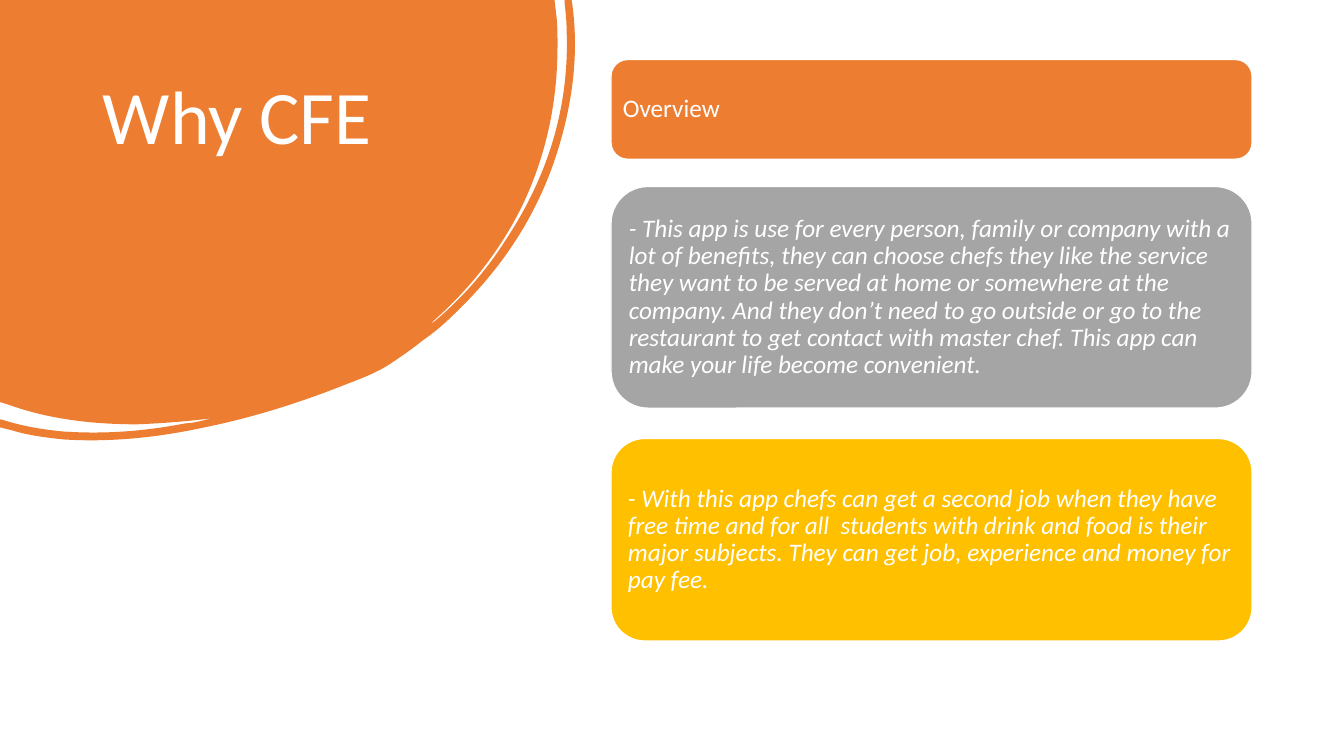
"""Build the "Why CFE" slide: a curved orange corner with a title and three text cards."""
from lxml import etree
from pptx import Presentation
from pptx.dml.color import RGBColor
from pptx.enum.shapes import MSO_SHAPE
from pptx.enum.text import MSO_ANCHOR, PP_ALIGN
from pptx.oxml.ns import qn
from pptx.util import Inches, Pt

ROUND = MSO_SHAPE.ROUNDED_RECTANGLE
TOP, MIDDLE = MSO_ANCHOR.TOP, MSO_ANCHOR.MIDDLE
LEFT = PP_ALIGN.LEFT
FONT, WHITE, ORANGE = "Calibri", "FFFFFF", "ED7D31"

TITLE = "Why CFE"
CARDS = [
    (0.59, 0.99, ORANGE, False, "Overview"),
    (1.85, 2.2, "A5A5A5", True,
     "- This app is use for every person, family or company with a lot of benefits, "
     "they can choose chefs they like the service they want to be served at home or "
     "somewhere at the company. And they don’t need to go outside or go to the "
     "restaurant to get contact with master chef. This app can make your life become "
     "convenient."),
    (4.35, 2.01, "FFC000", True,
     "- With this app chefs can get a second job when they have free time and for all  "
     "students with drink and food is their major subjects. They can get job, "
     "experience and money for pay fee."),
]
BLOB = (5.71, 4.37)
CURVE = [
    (0, 0), (5.5, 0), (5.52, 0.17),
    (5.53, 0.26, 5.53, 0.36, 5.53, 0.45),
    (5.53, 1.01, 5.42, 1.54, 5.18, 2.04),
    (4.96, 2.49, 4.65, 2.88, 4.27, 3.21),
    (4.29, 3.21, 4.3, 3.19, 4.32, 3.18),
    (4.59, 2.95, 4.82, 2.69, 5.01, 2.39),
    (5.43, 1.76, 5.65, 1.07, 5.62, 0.3),
    (5.62, 0.21, 5.61, 0.12, 5.6, 0.03),
    (5.6, 0), (5.67, 0), (5.68, 0.07),
    (5.74, 0.54, 5.68, 1.02, 5.53, 1.5),
    (5.33, 2.14, 4.97, 2.68, 4.48, 3.14),
    (4.39, 3.23, 4.29, 3.31, 4.19, 3.38),
    (4.09, 3.46, 3.99, 3.53, 3.87, 3.61),
    (3.75, 3.69, 3.6, 3.75, 3.44, 3.81),
    (2.99, 3.99, 2.52, 4.14, 2.03, 4.24),
    (1.57, 4.34, 1.1, 4.39, 0.63, 4.36),
    (0.45, 4.34, 0.28, 4.32, 0.12, 4.27),
    (0, 4.24), (0, 4.16), (0.04, 4.17),
    (0.23, 4.23, 0.42, 4.26, 0.61, 4.28),
    (1.03, 4.31, 1.43, 4.28, 1.84, 4.2),
    (1.89, 4.2, 1.93, 4.19, 1.98, 4.18),
    (2.02, 4.17, 2.06, 4.16, 2.1, 4.15),
    (1.86, 4.18, 1.61, 4.2, 1.36, 4.21),
    (0.92, 4.21, 0.48, 4.16, 0.07, 4.01),
    (0, 3.99),
]


def color(code):
    return RGBColor.from_string(code)


def fill(shape, code):
    shape.shadow.inherit = False
    shape.fill.solid()
    shape.fill.fore_color.rgb = color(code)


def write(frame, text, size, anchor, italic=False):
    frame.word_wrap = True
    frame.vertical_anchor = anchor
    para = frame.paragraphs[0]
    para.alignment = LEFT
    para.line_spacing = 0.9
    run = para.add_run()
    run.text = text
    font = run.font
    font.name, font.size, font.italic = FONT, Pt(size), italic
    font.color.rgb = color(WHITE)


def draw(shapes):
    """Draw the outline by its knots, then bend the curved parts."""
    knots = [(Inches(part[-2]), Inches(part[-1])) for part in CURVE]
    pen = shapes.build_freeform(*knots[0])
    pen.add_line_segments(knots[1:], close=True)
    blob = pen.convert_to_shape()
    wide, high = (Inches(size) for size in BLOB)
    blob.width, blob.height = wide, high
    outline = next(blob._element.iter(qn("a:path")))
    outline.set("w", str(wide))
    outline.set("h", str(high))
    for line, part in zip(outline.findall(qn("a:lnTo")), CURVE[1:]):
        if len(part) == 6:
            bend = etree.Element(qn("a:cubicBezTo"))
            for x, y in zip(part[::2], part[1::2]):
                etree.SubElement(bend, qn("a:pt"), x=str(Inches(x)), y=str(Inches(y)))
            outline.replace(line, bend)
    fill(blob, ORANGE)
    blob.line.fill.background()
    return blob


def main():
    deck = Presentation()
    deck.slide_width, deck.slide_height = Inches(13.33), Inches(7.5)
    slide = deck.slides.add_slide(deck.slide_layouts[5])
    shapes = slide.shapes

    blob = draw(shapes)
    title = shapes.title
    title.left, title.top = Inches(0.92), Inches(0.74)
    title.width, title.height = Inches(3.52), Inches(2.22)
    write(title.text_frame, TITLE, 54, TOP)
    blob._element.addnext(title._element)

    for top, height, code, italic, text in CARDS:
        card = shapes.add_shape(ROUND, Inches(6.06), Inches(top), Inches(6.36), Inches(height))
        fill(card, code)
        card.line.color.rgb = color(WHITE)
        card.line.width = Pt(1)
        frame = card.text_frame
        frame.margin_left = frame.margin_right = Inches(0.07)
        frame.margin_top = frame.margin_bottom = Inches(0.07)
        write(frame, text, 18, MIDDLE, italic)

    deck.save("out.pptx")


if __name__ == "__main__":
    main()
